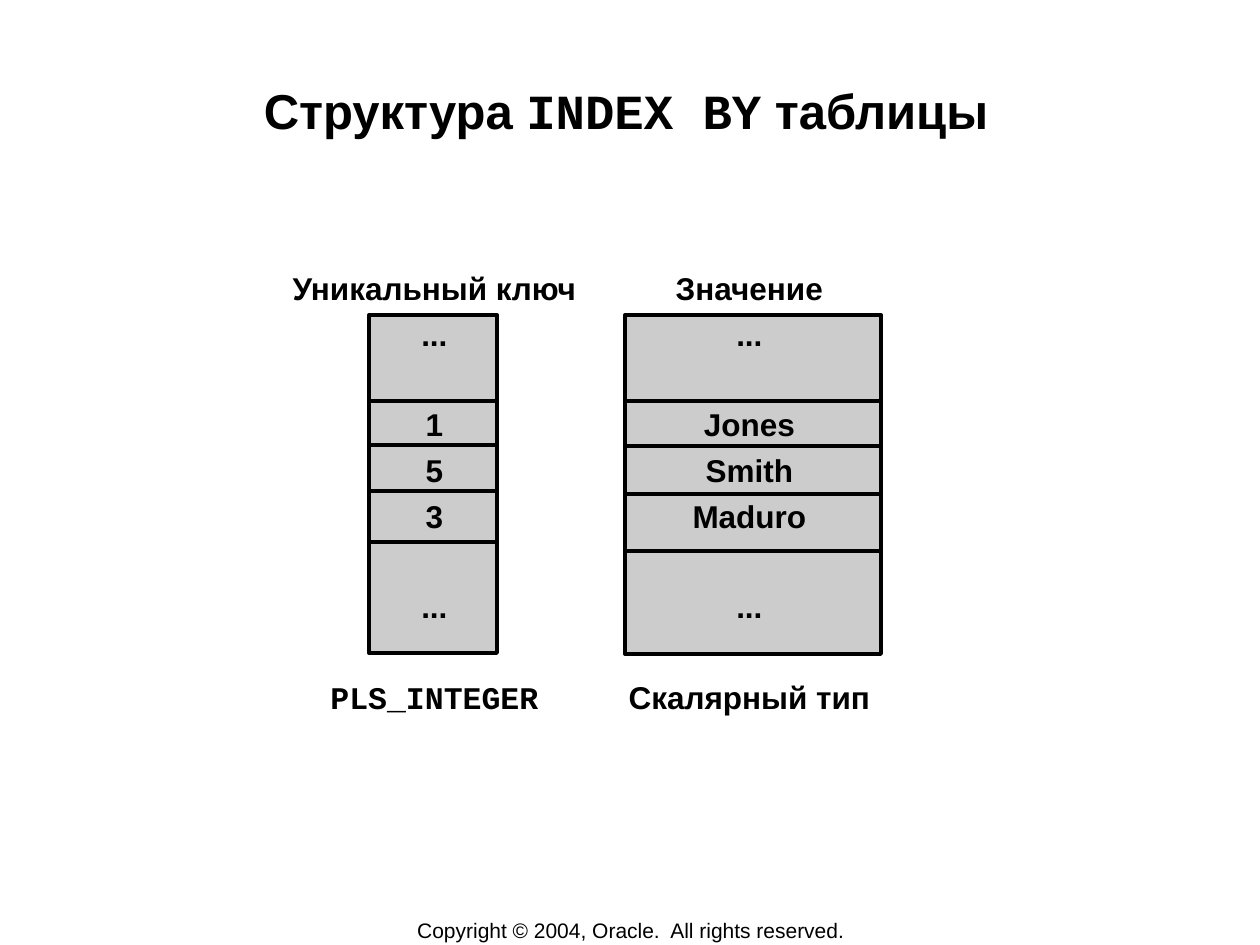
from lxml.etree import SubElement
from pptx import Presentation
from pptx.dml.color import RGBColor
from pptx.enum.shapes import MSO_CONNECTOR, MSO_SHAPE
from pptx.enum.text import MSO_ANCHOR, PP_ALIGN
from pptx.oxml.ns import qn
from pptx.util import Pt

EMU_PER_PX = 914400 / 126
SANS, MONO = "Arial", "Courier New"
LINE_GAP = 4.5
EMPTY_ROW_GAP = 30.2


def px(length):
    return round(length * EMU_PER_PX)


def color(hex_string):
    return RGBColor.from_string(hex_string)


def apply(target, values):
    for name, value in values.items():
        setattr(target, name, value)


class SlideBuilder:
    ink = "000000"
    cell_fill = "CCCCCC"
    line_width = Pt(2.25)

    def __init__(self, slide):
        self.slide = slide

    def outline(self, line):
        line.color.rgb = color(self.ink)
        line.width = self.line_width

    def rectangle(self, left, top, width, height):
        shape = self.slide.shapes.add_shape(
            MSO_SHAPE.RECTANGLE, px(left), px(top), px(width), px(height))
        shape.shadow.inherit = False
        shape.fill.solid()
        shape.fill.fore_color.rgb = color(self.cell_fill)
        self.outline(shape.line)

    def horizontal_line(self, left, right, y):
        connector = self.slide.shapes.add_connector(
            MSO_CONNECTOR.STRAIGHT, px(left), px(y), px(right), px(y))
        self.outline(connector.line)
        SubElement(connector._element.spPr, qn("a:effectLst"))

    def column(self, left, top, width, height, dividers):
        self.rectangle(left, top, width, height)
        for y in dividers:
            self.horizontal_line(left, left + width, y)

    def text_frame(self, left, top, width, height, anchor=MSO_ANCHOR.TOP):
        box = self.slide.shapes.add_textbox(px(left), px(top), px(width), px(height))
        frame = box.text_frame
        apply(frame, {"word_wrap": True, "vertical_anchor": anchor,
                      "margin_top": px(7), "margin_bottom": px(7)})
        return frame

    def runs(self, paragraph, parts, size, bold=True):
        """Add (text, font name) parts to the paragraph."""
        for text, font_name in parts:
            run = paragraph.add_run()
            run.text = text
            apply(run.font, {"name": font_name, "size": Pt(size), "bold": bold})
            run.font.color.rgb = color(self.ink)

    def centered_text(self, bounds, parts, size, bold, anchor):
        paragraph = self.text_frame(*bounds, anchor).paragraphs[0]
        paragraph.alignment = PP_ALIGN.CENTER
        self.runs(paragraph, parts, size, bold)

    def tabbed_rows(self, bounds, tab_stops, rows, size):
        """Write rows of (space before, parts), centred on the tab stops."""
        frame = self.text_frame(*bounds)
        for index, (space_before, parts) in enumerate(rows):
            paragraph = frame.add_paragraph() if index else frame.paragraphs[0]
            tab_list = SubElement(paragraph._p.get_or_add_pPr(), qn("a:tabLst"))
            for stop in tab_stops:
                SubElement(tab_list, qn("a:tab"), pos=str(px(stop)), algn="ctr")
            if index:
                paragraph.space_before = Pt(space_before)
            self.runs(paragraph, parts, size)


def main():
    presentation = Presentation()
    apply(presentation, {"slide_width": px(1260), "slide_height": px(945)})
    builder = SlideBuilder(presentation.slides.add_slide(presentation.slide_layouts[6]))

    builder.centered_text(
        (348, 917, 566, 26),
        [("Copyright © 2004, Oracle.  All rights reserved.", SANS)],
        size=12, bold=False, anchor=MSO_ANCHOR.MIDDLE)
    builder.column(369, 315, 128, 338, (401, 445, 491, 542))
    builder.column(625, 315, 256, 339, (401, 446, 494, 551))
    builder.centered_text(
        (122, 73, 1008, 121),
        [("Структура ", SANS), ("INDEX BY", MONO), (" таблицы", SANS)],
        size=28, bold=True, anchor=MSO_ANCHOR.TOP)

    entries = [
        (0, "Уникальный ключ", "Значение"),
        (LINE_GAP, "...", "..."),
        (EMPTY_ROW_GAP, "1", "Jones"),
        (LINE_GAP, "5", "Smith"),
        (LINE_GAP, "3", "Maduro"),
        (EMPTY_ROW_GAP, "...", "..."),
    ]
    rows = [(gap, [(f"\t{key}\t{value}", SANS)]) for gap, key, value in entries]
    rows.append((EMPTY_ROW_GAP, [("\tPLS_INTEGER\t", MONO), ("Скалярный тип", SANS)]))
    builder.tabbed_rows((232, 262, 693, 461), (190, 505), rows, size=18)

    presentation.save("out.pptx")


if __name__ == "__main__":
    main()
